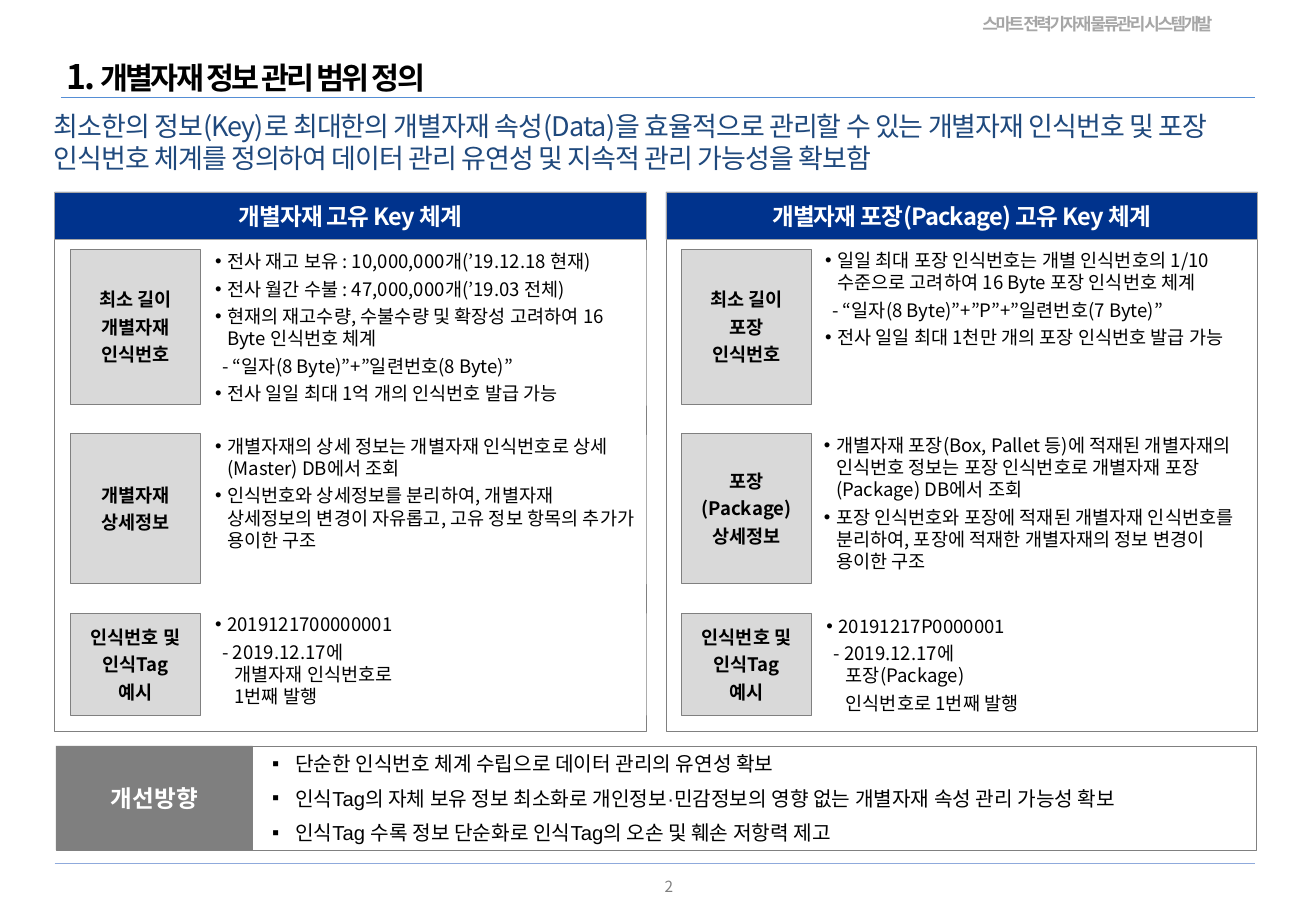
import pptx
import pptx.dml.color
import pptx.enum.shapes
import pptx.enum.text
import pptx.oxml.ns
import pptx.util
from lxml import etree

RGBColor = pptx.dml.color.RGBColor
Align = pptx.enum.text.PP_ALIGN
Anchor = pptx.enum.text.MSO_ANCHOR
Pt = pptx.util.Pt
qn = pptx.oxml.ns.qn

PX = 9144  # 100 px to the inch
KOREAN = "Noto Sans CJK KR"
BLACK = RGBColor(0x00, 0x00, 0x00)
WHITE = RGBColor(0xFF, 0xFF, 0xFF)
NAVY = RGBColor(0x00, 0x33, 0x8D)
MESSAGE_BLUE = RGBColor(0x1F, 0x49, 0x7D)
TITLE_RULE = RGBColor(0x55, 0x8E, 0xD5)
FOOTER_RULE = RGBColor(0x8F, 0xAA, 0xDC)
LABEL_GREY = RGBColor(0xD9, 0xD9, 0xD9)
LIGHT_GREY = RGBColor(0xA6, 0xA6, 0xA6)
GREY = RGBColor(0x80, 0x80, 0x80)
DARK_GREY = RGBColor(0x7F, 0x7F, 0x7F)

# Paragraph styles: mark, left margin and first-line indent in px
STYLES = {
    "plain": ("", 0, 0),
    "bullet": ("•", 10, -10),
    "dash": ("", 16, -10),
    "continued": ("", 16, 0),
    "square": ("▪", 19, -19),
}

# Each panel: left edge, heading, rows of (label lines, left and top of detail, paragraphs)
PANELS = [
    (45, "개별자재 고유 Key 체계", [
        (["최소 길이", "개별자재", "인식번호"], 169, 206, [
            ("bullet", "전사 재고 보유 : 10,000,000개(’19.12.18 현재)"),
            ("bullet", "전사 월간 수불 : 47,000,000개(’19.03 전체)"),
            ("bullet", "현재의 재고수량, 수불수량 및 확장성 고려하여 16 Byte 인식번호 체계"),
            ("dash", "- “일자(8 Byte)”+”일련번호(8 Byte)”"),
            ("bullet", "전사 일일 최대 1억 개의 인식번호 발급 가능")]),
        (["개별자재", "상세정보"], 169, 358, [
            ("bullet", "개별자재의 상세 정보는 개별자재 인식번호로 상세(Master) DB에서 조회"),
            ("bullet", "인식번호와 상세정보를 분리하여, 개별자재 상세정보의 변경이 자유롭고, "
                       "고유 정보 항목의 추가가 용이한 구조")]),
        (["인식번호 및", "인식Tag", "예시"], 169, 505, [
            ("bullet", "2019121700000001"),
            ("dash", "- 2019.12.17에\n개별자재 인식번호로\n1번째 발행")]),
    ]),
    (548, "개별자재 포장(Package) 고유 Key 체계", [
        (["최소 길이", "포장", "인식번호"], 671, 205, [
            ("bullet", "일일 최대 포장 인식번호는 개별 인식번호의 1/10 수준으로 고려하여 "
                       "16 Byte 포장 인식번호 체계"),
            ("dash", "- “일자(8 Byte)”+”P”+”일련번호(7 Byte)”"),
            ("bullet", "전사 일일 최대 1천만 개의 포장 인식번호 발급 가능")]),
        (["포장", "(Package)", "상세정보"], 670, 357, [
            ("bullet", "개별자재 포장(Box, Pallet 등)에 적재된 개별자재의 인식번호 정보는 "
                       "포장 인식번호로 개별자재 포장(Package) DB에서 조회"),
            ("bullet", "포장 인식번호와 포장에 적재된 개별자재 인식번호를 분리하여, "
                       "포장에 적재한 개별자재의 정보 변경이 용이한 구조")]),
        (["인식번호 및", "인식Tag", "예시"], 672, 506, [
            ("bullet", "20191217P0000001"),
            ("dash", "- 2019.12.17에\n포장(Package)"),
            ("continued", "인식번호로 1번째 발행")]),
    ]),
]
ROW_BOUNDS = [(205, 128), (357, 123), (505, 84)]
DETAIL_WIDTHS = [363, 359]

IMPROVEMENTS = [
    "단순한 인식번호 체계 수립으로 데이터 관리의 유연성 확보",
    "인식Tag의 자체 보유 정보 최소화로 개인정보·민감정보의 영향 없는 개별자재 속성 관리 가능성 확보",
    "인식Tag 수록 정보 단순화로 인식Tag의 오손 및 훼손 저항력 제고",
]


def scaled(*lengths):
    return [length * PX for length in lengths]


def set_frame(frame, insets, anchor, wrap=True):
    frame.word_wrap = wrap
    frame.vertical_anchor = anchor
    (frame.margin_left, frame.margin_top,
     frame.margin_right, frame.margin_bottom) = scaled(*insets)


def add_run(paragraph, text, size, color, bold=False, font=KOREAN, spacing=0):
    run = paragraph.add_run()
    run.text = text
    run.font.size = Pt(size)
    run.font.bold = bold
    run.font.color.rgb = color
    run.font.name = font
    properties = run.font._element
    etree.SubElement(properties, qn("a:ea")).set("typeface", KOREAN)
    if spacing:
        properties.set("spc", str(round(spacing * 100)))


def add_paragraphs(frame, items, size, color, align=Align.LEFT, after=0, **run_style):
    for index, (style, text) in enumerate(items):
        paragraph = frame.add_paragraph() if index else frame.paragraphs[0]
        mark, margin, indent = STYLES[style]
        properties = paragraph._p.get_or_add_pPr()
        properties.set("marL", str(margin * PX))
        properties.set("indent", str(indent * PX))
        if mark:
            etree.SubElement(properties, qn("a:buFont")).set("typeface", "Arial")
            etree.SubElement(properties, qn("a:buChar")).set("char", mark)
        paragraph.alignment = align
        paragraph.space_after = Pt(after)
        for number, line in enumerate(text.split("\n")):
            if number:
                paragraph.add_line_break()
            add_run(paragraph, line, size, color, **run_style)


def add_box(slide, bounds, fill, outline=None, insets=(10, 5, 10, 5), anchor=Anchor.MIDDLE):
    box = slide.shapes.add_shape(pptx.enum.shapes.MSO_SHAPE.RECTANGLE, *scaled(*bounds))
    box.shadow.inherit = False
    box.fill.solid()
    box.fill.fore_color.rgb = fill
    if outline is None:
        box.line.fill.background()
    else:
        box.line.color.rgb = outline
        box.line.width = Pt(0.25)
    set_frame(box.text_frame, insets, anchor)
    return box.text_frame


def add_text(slide, bounds, insets, anchor=Anchor.TOP, wrap=True):
    frame = slide.shapes.add_textbox(*scaled(*bounds)).text_frame
    set_frame(frame, insets, anchor, wrap)
    return frame


def add_rule(slide, left, right, y, color, width):
    rule = slide.shapes.add_connector(
        pptx.enum.shapes.MSO_CONNECTOR.STRAIGHT, *scaled(left, y, right, y))
    rule.line.color.rgb = color
    rule.line.width = Pt(width)
    etree.SubElement(rule._element.spPr, qn("a:effectLst"))


def add_panel(slide, left, heading, rows, detail_width):
    add_box(slide, (left, 197, 487, 405), WHITE, GREY)
    heading_frame = add_box(slide, (left, 158, 487, 39), NAVY, LIGHT_GREY)
    add_paragraphs(heading_frame, [("plain", heading)], 14, WHITE, Align.CENTER,
                   bold=True, spacing=-0.5)
    for (top, height), (label, detail_left, detail_top, details) in zip(ROW_BOUNDS, rows):
        label_frame = add_box(slide, (left + 13, top, 107, height), LABEL_GREY, GREY,
                              (11, 5, 11, 5))
        add_paragraphs(label_frame, [("plain", line) for line in label], 11, BLACK,
                       Align.CENTER, after=3, bold=True)
        detail_frame = add_box(slide, (detail_left, detail_top, detail_width, height), WHITE,
                               insets=(8, 0, 4, 5), anchor=Anchor.TOP)
        add_paragraphs(detail_frame, details, 11, BLACK, after=3)


def main():
    deck = pptx.Presentation()
    deck.slide_width, deck.slide_height = scaled(1083, 750)
    slide = deck.slides.add_slide(deck.slide_layouts[6])

    # Running header, rules and page number
    project = add_text(slide, (792, 7, 222, 24), (4, 4, 4, 4), wrap=False)
    add_paragraphs(project, [("plain", "스마트 전력기자재 물류관리 시스템개발")], 10,
                   LIGHT_GREY, Align.CENTER, bold=True, spacing=-1.4)
    add_rule(slide, 50, 1033, 80, TITLE_RULE, 0.25)
    add_rule(slide, 45, 1033, 711, FOOTER_RULE, 0.75)
    page_number = add_text(slide, (523, 714, 55, 31), (8, 0, 8, 0), Anchor.MIDDLE)
    add_paragraphs(page_number, [("plain", "2")], 9.1, GREY, Align.CENTER)

    # Title and key message
    title = add_text(slide, (45, 30, 989, 45), (10, 5, 10, 5)).paragraphs[0]
    title.line_spacing = Pt(32)
    add_run(title, "1. ", 20, BLACK, bold=True, spacing=-1.5)
    add_run(title, "개별자재 정보 관리 범위 정의", 18, BLACK, bold=True, spacing=-1.5)
    message = add_text(slide, (44, 90, 989, 59), (0, 0, 0, 0))
    add_paragraphs(message, [("plain", "최소한의 정보(Key)로 최대한의 개별자재 속성(Data)을 효율적으로 "
                              "관리할 수 있는 개별자재 인식번호 및 포장 인식번호 체계를 정의하여 "
                              "데이터 관리 유연성 및 지속적 관리 가능성을 확보함")],
                   16, MESSAGE_BLUE, spacing=-0.5)

    # Key scheme panels
    for (left, heading, rows), detail_width in zip(PANELS, DETAIL_WIDTHS):
        add_panel(slide, left, heading, rows, detail_width)

    # Direction of improvement
    improvements = add_box(slide, (208, 614, 826, 86), WHITE, GREY, (16, 5, 0, 5))
    add_paragraphs(improvements, [("square", text) for text in IMPROVEMENTS], 12, BLACK,
                   after=6, font="Arial")
    direction = add_box(slide, (46, 614, 162, 86), DARK_GREY, GREY)
    add_paragraphs(direction, [("plain", "개선방향")], 14, WHITE, Align.CENTER,
                   bold=True, font="Arial")

    deck.save("out.pptx")


if __name__ == "__main__":
    main()
